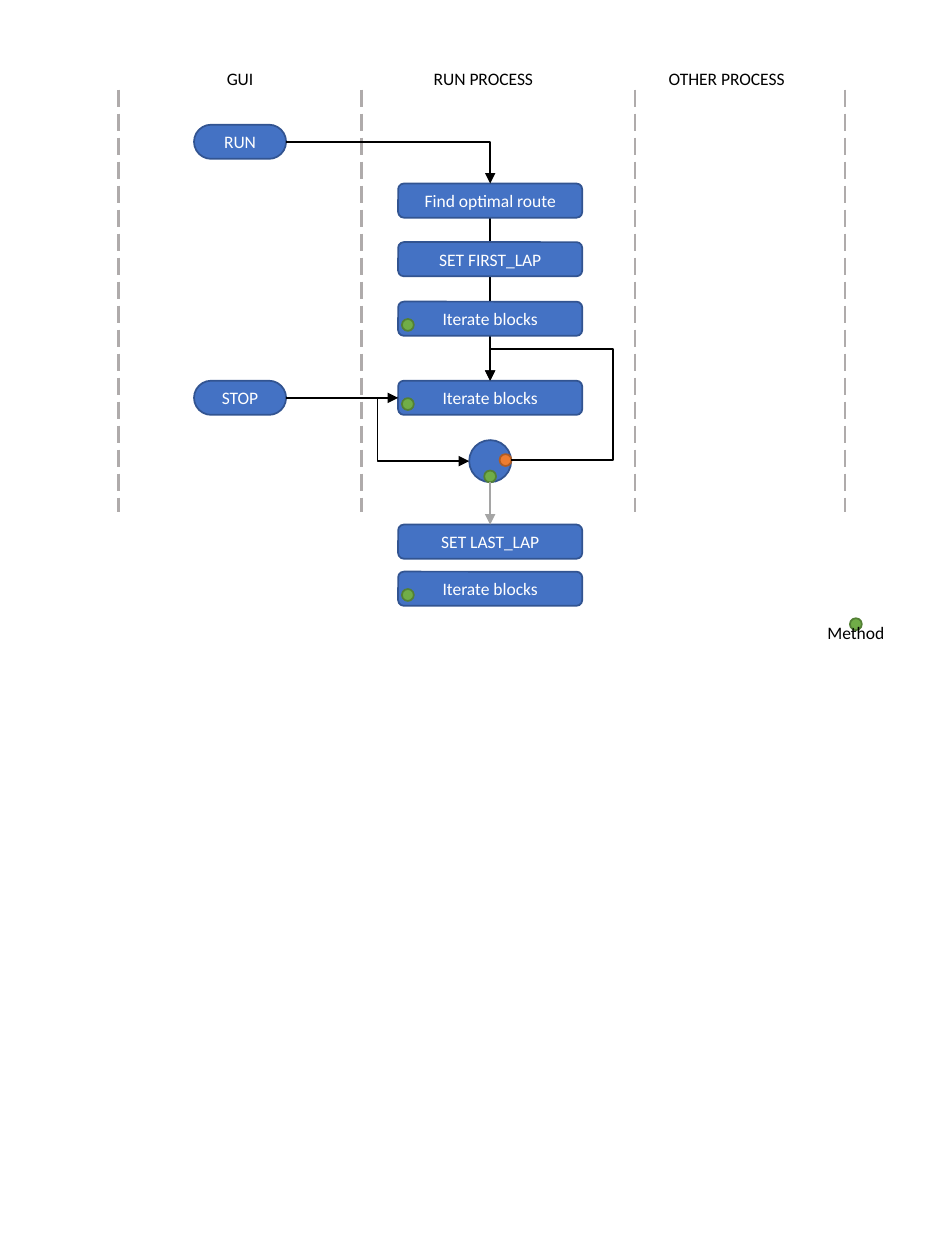
from lxml import etree
from pptx import Presentation
from pptx import util as u
from pptx.dml.color import RGBColor
from pptx.enum import dml, shapes, text
from pptx.oxml.ns import qn

Pt = u.Pt
COLORS = {
    "box": "4472C4", "box line": "325491", "lane": "AFABAB",
    "method": "70AD47", "method line": "538035",
    "loop": "ED7D31", "loop line": "AF5C24",
    "grey": "A5A5A5", "black": "000000", "white": "FFFFFF",
}
TOP, LEFT, BOTTOM, RIGHT = range(4)
BOX_LEFT, BOX_WIDTH, BOX_HEIGHT = 227.5, 105.2, 19.5
CENTER = BOX_LEFT + BOX_WIDTH / 2
PILL_LEFT, PILL_WIDTH = 110.9, 52.6
DOT = 6.8
LANE_TOP, LANE_BOTTOM = 51.2, 292.4
LABEL_WIDTH = 139
RUN_TOP, LOOP_TOP = 71.3, 217.6


def color(name):
    return RGBColor.from_string(COLORS[name])


def write(shape, content, ink="white", anchor=text.MSO_ANCHOR.MIDDLE, wrap=True):
    frame = shape.text_frame
    frame.word_wrap = wrap
    frame.vertical_anchor = anchor
    paragraph = frame.paragraphs[0]
    paragraph.alignment = text.PP_ALIGN.CENTER
    run = paragraph.add_run()
    run.text = content
    run.font.name = "Calibri"
    run.font.size = Pt(10)
    run.font.color.rgb = color(ink)


def add_node(slide, kind, left, top, width, height, fill="box"):
    shape = slide.shapes.add_shape(kind, Pt(left), Pt(top), Pt(width), Pt(height))
    shape.shadow.inherit = False
    shape.fill.solid()
    shape.fill.fore_color.rgb = color(fill)
    shape.line.color.rgb = color(fill + " line")
    shape.line.width = Pt(1)
    return shape


def add_box(slide, content, top):
    box = add_node(slide, shapes.MSO_SHAPE.ROUNDED_RECTANGLE,
                   BOX_LEFT, top, BOX_WIDTH, BOX_HEIGHT)
    write(box, content)
    return box


def add_pill(slide, content, top):
    pill = add_node(slide, shapes.MSO_SHAPE.ROUNDED_RECTANGLE,
                    PILL_LEFT, top, PILL_WIDTH, BOX_HEIGHT)
    pill.adjustments[0] = 0.5
    write(pill, content)
    return pill


def add_dot(slide, left, top, fill="method", size=DOT):
    return add_node(slide, shapes.MSO_SHAPE.OVAL, left, top, size, size, fill)


def add_iteration(slide, top):
    """Add an iterate box with its method dot."""
    box = add_box(slide, "Iterate blocks", top)
    add_dot(slide, BOX_LEFT + 2.2, top + 9.9)
    return box


def add_line(slide, start, end, ink="black", width=1, arrow=True,
             kind=shapes.MSO_CONNECTOR.STRAIGHT):
    points = [Pt(value) for value in (*start, *end)]
    line = slide.shapes.add_connector(kind, *points)
    line.line.color.rgb = color(ink)
    line.line.width = Pt(width)
    if arrow:
        etree.SubElement(line.line._get_or_add_ln(), qn("a:tailEnd"), type="triangle")
    etree.SubElement(line.element.spPr, qn("a:effectLst"))
    return line


def add_elbow(slide, start, end, bends=2, adjustments=()):
    """Add an arrow with right-angled bends; adjustments are shares of its size."""
    line = add_line(slide, start, end, kind=shapes.MSO_CONNECTOR.ELBOW)
    geometry = line.element.spPr.find(qn("a:prstGeom"))
    geometry.set("prst", f"bentConnector{bends + 1}")
    guides = geometry.find(qn("a:avLst"))
    for number, share in enumerate(adjustments, 1):
        etree.SubElement(guides, qn("a:gd"), name=f"adj{number}",
                         fmla=f"val {round(share * 100000)}")


def add_lanes(slide):
    for x in (67.7, 206.6, 362.9, 483.1):
        lane = add_line(slide, (x, LANE_TOP), (x, LANE_BOTTOM), "lane", 1.25, arrow=False)
        lane.line.dash_style = dml.MSO_LINE.LONG_DASH
    for index, name in enumerate(("GUI", "RUN PROCESS", "OTHER PROCESS")):
        label = slide.shapes.add_textbox(Pt(67.7 + index * LABEL_WIDTH), Pt(35.2),
                                         Pt(LABEL_WIDTH), Pt(19.4))
        write(label, name, ink="black", anchor=text.MSO_ANCHOR.TOP)
        label.text_frame.auto_size = text.MSO_AUTO_SIZE.SHAPE_TO_FIT_TEXT


def add_legend(slide):
    legend = add_dot(slide, 485.7, 353.3)
    write(legend, "Method", ink="black", anchor=text.MSO_ANCHOR.TOP, wrap=False)
    frame = legend.text_frame
    frame.margin_left = frame.margin_right = Pt(7.2)
    frame.margin_top, frame.margin_bottom = Pt(14.4), Pt(3.6)


def add_flow(slide):
    main_line = add_line(slide, (CENTER, 124.6), (CENTER, LOOP_TOP))
    add_pill(slide, "RUN", RUN_TOP)
    route = add_box(slide, "Find optimal route", 104.9)
    add_box(slide, "SET FIRST_LAP", 138.4)
    add_iteration(slide, 172.4)
    stop = add_pill(slide, "STOP", LOOP_TOP)
    loop = add_iteration(slide, LOOP_TOP)
    last_lap = add_box(slide, "SET LAST_LAP", 299.8)
    add_iteration(slide, 326.7)
    main_line.begin_connect(route, BOTTOM)
    main_line.end_connect(loop, TOP)

    pill_right = PILL_LEFT + PILL_WIDTH
    run_middle = RUN_TOP + BOX_HEIGHT / 2
    loop_middle = LOOP_TOP + BOX_HEIGHT / 2
    add_elbow(slide, (pill_right, run_middle), (CENTER, 104.9), bends=1)
    stop_line = add_line(slide, (pill_right, loop_middle), (BOX_LEFT, loop_middle))
    stop_line.begin_connect(stop, RIGHT)
    stop_line.end_connect(loop, LEFT)

    circle_size, circle_top = 24, 251.5
    circle_left = CENTER - circle_size / 2
    add_dot(slide, circle_left, circle_top, "box", circle_size)
    add_dot(slide, CENTER - DOT / 2, 268.9)
    add_dot(slide, 285.5, 259.5, "loop")
    add_elbow(slide, (pill_right, loop_middle),
              (circle_left, circle_top + circle_size / 2))

    # The way back runs out to the right, then up and over the loop box.
    start_x, start_y = 285.5 + DOT, 259.5 + DOT / 2
    turn_x, turn_y = 350.4, 199.4
    add_elbow(slide, (start_x, start_y), (CENTER, LOOP_TOP), bends=3,
              adjustments=((start_x - turn_x) / (start_x - CENTER),
                           (start_y - turn_y) / (start_y - LOOP_TOP)))
    exit_line = add_line(slide, (CENTER, 275.7), (CENTER, 299.8), "grey", 1.5)
    exit_line.end_connect(last_lap, TOP)


def main():
    presentation = Presentation()
    presentation.slide_width, presentation.slide_height = Pt(540), Pt(720)
    slide = presentation.slides.add_slide(presentation.slide_layouts[6])
    add_lanes(slide)
    add_legend(slide)
    add_flow(slide)
    presentation.save("out.pptx")


if __name__ == "__main__":
    main()
